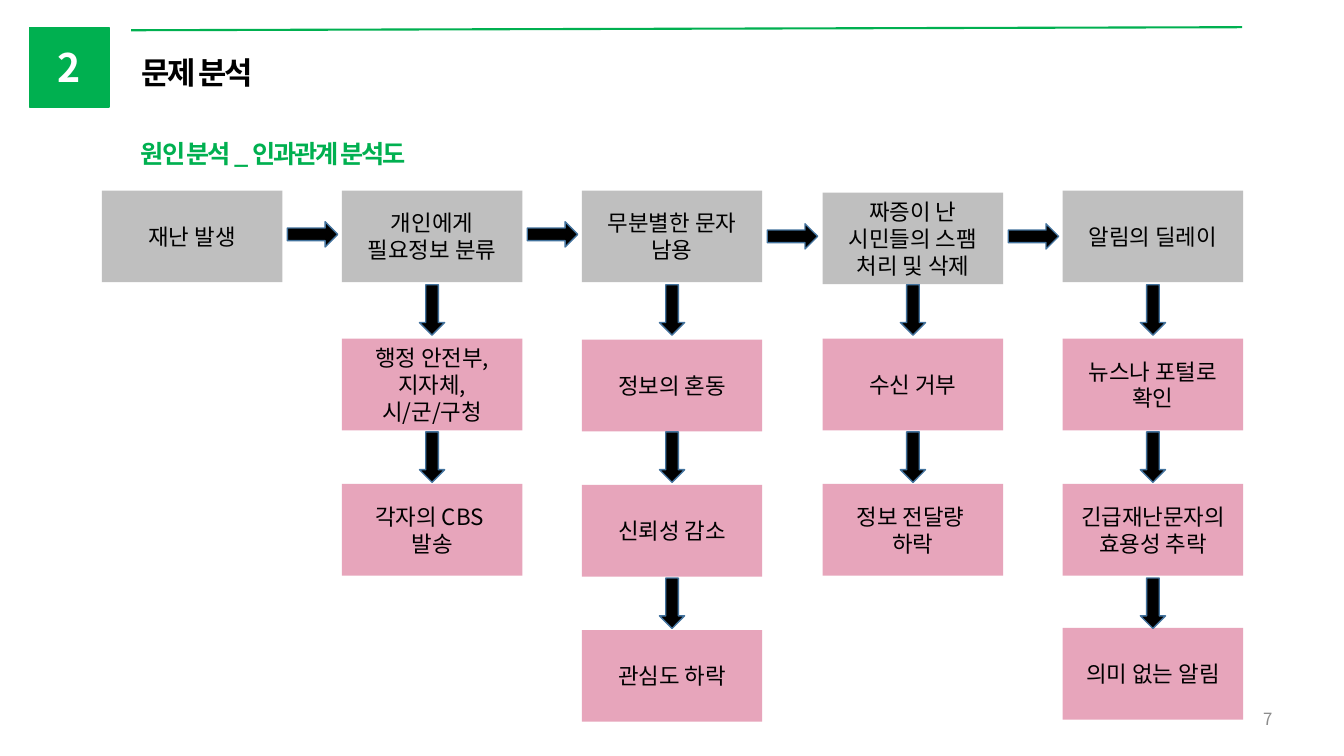
"""Build the cause analysis slide with its cause-and-effect flow chart."""
from dataclasses import dataclass

from lxml import etree
from pptx import Presentation
from pptx import util as u
from pptx.dml.color import RGBColor
from pptx.enum import shapes, text
from pptx.oxml import ns

FONT = "Noto Sans CJK KR"
COLORS = {
    "green": "00B050", "gray": "BFBFBF", "pink": "E7A5BB", "black": "000000",
    "white": "FFFFFF", "arrow_edge": "43739E", "page": "8C8C8C",
}
BOX_WIDTH, BOX_HEIGHT = 1.79, 0.91
ARROW_LENGTH, ARROW_HEIGHT = 0.5, 0.25
DOWN_ARROW_TOPS = (2.95, 4.41, 5.86)


@dataclass
class Style:
    """Character and paragraph format of a text."""
    size: float
    color: str = "black"
    bold: bool = False
    spacing: float = 0
    align: text.PP_ALIGN = text.PP_ALIGN.CENTER
    anchor: text.MSO_ANCHOR = text.MSO_ANCHOR.MIDDLE


@dataclass
class Stage:
    """A stage of the disaster with the effects below it."""
    left: float
    boxes: tuple[str, ...]
    tops: tuple[float, ...]
    next_arrow_top: float | None = None


STAGES = (
    Stage(1.01, ("재난 발생",), (1.89,), 2.2),
    Stage(3.39, ("개인에게 필요정보 분류", "행정 안전부,\n지자체,\n시/군/구청", "각자의 CBS \n발송"),
          (1.89, 3.36, 4.8), 2.2),
    Stage(5.77, ("무분별한 문자 남용", "정보의 혼동", "신뢰성 감소", "관심도 하락"),
          (1.89, 3.37, 4.81, 6.25), 2.22),
    Stage(8.16, ("짜증이 난 시민들의 스팸 처리 및 삭제", "수신 거부", "정보 전달량 \n하락"),
          (1.91, 3.36, 4.8), 2.22),
    Stage(10.54, ("알림의 딜레이", "뉴스나 포털로 확인", "긴급재난문자의 효용성 추락", "의미 없는 알림"),
          (1.89, 3.36, 4.8, 6.23)),
)
BOX_STYLE = Style(16)
LEFT_TOP = {"align": text.PP_ALIGN.LEFT, "anchor": text.MSO_ANCHOR.TOP}


def rgb(name: str) -> RGBColor:
    """Return the named colour."""
    return RGBColor.from_string(COLORS[name])


def write(shape, wording: str, style: Style) -> None:
    """Write one paragraph for each line of the wording."""
    frame = shape.text_frame
    frame.word_wrap = True
    frame.auto_size = text.MSO_AUTO_SIZE.NONE
    frame.vertical_anchor = style.anchor
    for index, line in enumerate(wording.split("\n")):
        paragraph = frame.add_paragraph() if index else frame.paragraphs[0]
        paragraph.alignment = style.align
        paragraph.line_spacing = 1.0
        run = paragraph.add_run()
        run.text = line
        run.font.size = u.Pt(style.size)
        run.font.bold = style.bold
        run.font.name = FONT
        run.font.color.rgb = rgb(style.color)
        properties = run._r.get_or_add_rPr()
        etree.SubElement(properties, ns.qn("a:ea"), typeface=FONT)
        if style.spacing:
            properties.set("spc", str(round(style.spacing * 100)))


def place(shape, left: float, top: float, width: float, height: float) -> None:
    """Move and size a shape in inches."""
    shape.left, shape.top = u.Inches(left), u.Inches(top)
    shape.width, shape.height = u.Inches(width), u.Inches(height)


def add_label(slide, wording: str, area: tuple[float, ...], style: Style) -> None:
    """Add a free-standing text."""
    write(slide.shapes.add_textbox(*map(u.Inches, area)), wording, style)


def add_solid(slide, kind, area: tuple[float, ...], fill: str, edge: str | None = None):
    """Add a filled shape without shadow."""
    solid = slide.shapes.add_shape(kind, *map(u.Inches, area))
    solid.shadow.inherit = False
    solid.fill.solid()
    solid.fill.fore_color.rgb = rgb(fill)
    if edge:
        solid.line.color.rgb = rgb(edge)
        solid.line.width = u.Pt(1)
    else:
        solid.line.fill.background()
    return solid


def add_arrow(slide, left: float, top: float, rotation: float = 0) -> None:
    """Add a black block arrow."""
    arrow = add_solid(slide, shapes.MSO_SHAPE.RIGHT_ARROW,
                      (left, top, ARROW_LENGTH, ARROW_HEIGHT), "black", "arrow_edge")
    arrow.rotation = rotation


def add_stage(slide, stage: Stage) -> None:
    """Add a stage with its effects and arrows."""
    for row, (wording, top) in enumerate(zip(stage.boxes, stage.tops)):
        box = add_solid(slide, shapes.MSO_SHAPE.RECTANGLE,
                        (stage.left, top, BOX_WIDTH, BOX_HEIGHT), "pink" if row else "gray")
        write(box, wording, BOX_STYLE)
        if row:
            center_left = stage.left + (BOX_WIDTH - ARROW_LENGTH) / 2
            add_arrow(slide, center_left, DOWN_ARROW_TOPS[row - 1], 90)
    if stage.next_arrow_top is not None:
        add_arrow(slide, stage.left + BOX_WIDTH + 0.05, stage.next_arrow_top)


def add_header(slide) -> None:
    """Add the rule, section number, title and subtitle."""
    rule = slide.shapes.add_connector(shapes.MSO_CONNECTOR.STRAIGHT,
                                      *map(u.Inches, (1.3, 0.3, 12.32, 0.27)))
    rule.line.color.rgb = rgb("green")
    rule.line.width = u.Pt(1.5)
    etree.SubElement(rule._element.spPr, ns.qn("a:effectLst"))
    section = add_solid(slide, shapes.MSO_SHAPE.RECTANGLE,
                        (0.29, 0.27, 0.79, 0.79), "green", "green")
    write(section, "2", Style(28, "white", True))
    title = slide.shapes.title
    place(title, 1.3, 0.48, 9.98, 0.47)
    write(title, "문제 분석", Style(22, "black", True, -1.5, **LEFT_TOP))
    add_label(slide, "원인 분석 _ 인과관계 분석도", (1.3, 1.32, 3.71, 0.4),
              Style(18, "green", True, -1.5, **LEFT_TOP))


def main() -> None:
    """Build and save the presentation."""
    deck = Presentation()
    deck.slide_width, deck.slide_height = u.Inches(13.33), u.Inches(7.5)
    slide = deck.slides.add_slide(deck.slide_layouts[5])
    add_header(slide)
    for stage in STAGES:
        add_stage(slide, stage)
    add_label(slide, "7", (9.72, 6.93, 3, 0.4), Style(12, "page", align=text.PP_ALIGN.RIGHT))
    deck.save("out.pptx")


if __name__ == "__main__":
    main()
